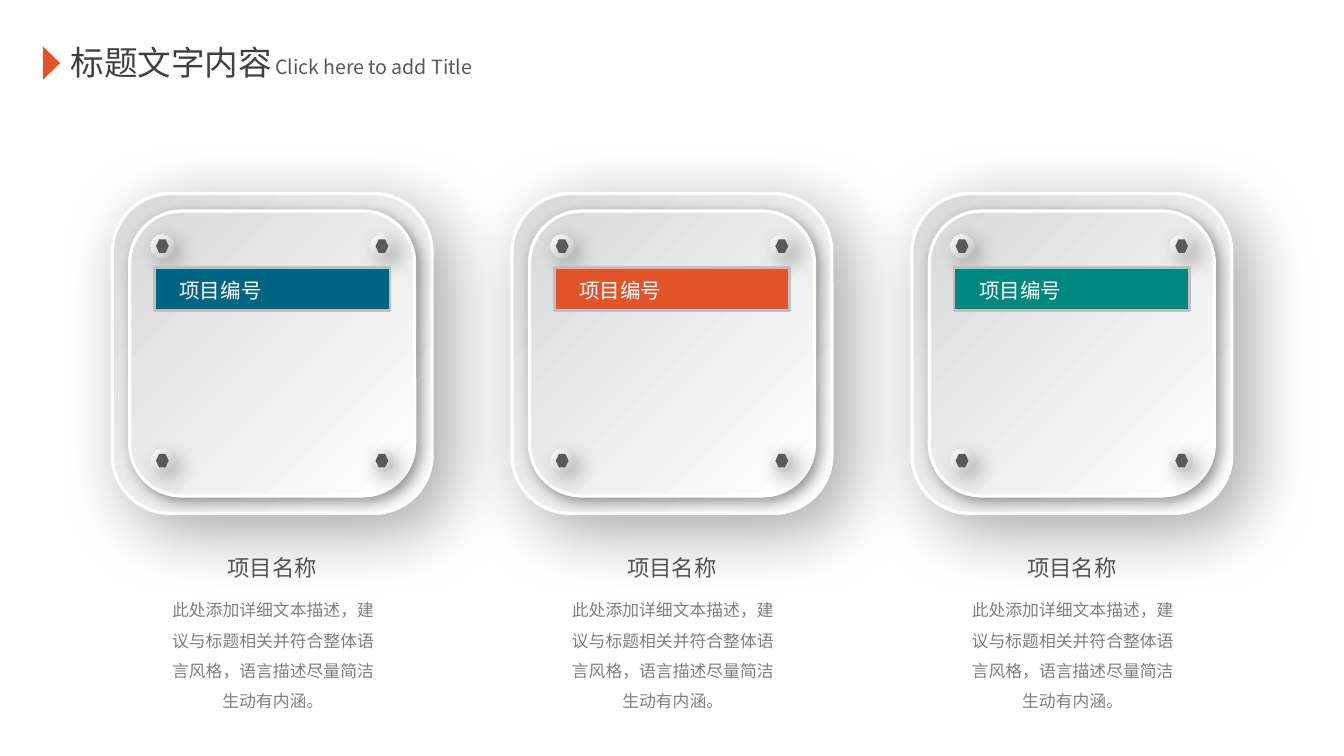
from dataclasses import dataclass
from itertools import product
from typing import NamedTuple, Optional

from lxml import etree
from pptx import Presentation
from pptx import util as u
from pptx.dml.color import RGBColor
from pptx.enum import shapes, text
from pptx.oxml.ns import qn

SLIDE_WIDTH = u.Inches(10)
SLIDE_HEIGHT = SLIDE_WIDTH * 9 // 16
CELL = SLIDE_WIDTH / 100  # square grid: 100 columns, 56.25 rows
COLUMN_PITCH = 29.75
PLATE_ROW = 26.3
PLATE_CORNER = 0.183
SCREW_X, SCREW_Y = 8.17, 7.98


@dataclass(frozen=True)
class Theme:
    """Colours, font and type sizes of the slide."""
    font: str = "Noto Sans CJK SC"
    title: str = "404040"
    heading: str = "595959"
    body: str = "808080"
    accent: str = "E2532A"
    blue: str = "006583"
    green: str = "00877F"
    white: str = "FFFFFF"
    light: str = "D9D9D9"
    edge: str = "BFBFBF"
    title_size: float = 18
    name_size: float = 12
    label_size: float = 11
    subtitle_size: float = 10.5
    body_size: float = 9


class Box(NamedTuple):
    """Centre and size in grid cells."""
    x: float
    y: float
    width: float
    height: float

    def emu(self) -> tuple:
        """Return left, top, width and height in EMU."""
        cells = (self.x - self.width / 2, self.y - self.height / 2, self.width, self.height)
        return tuple(round(value * CELL) for value in cells)


class Shadow(NamedTuple):
    """Soft black shadow cast to the lower right."""
    opacity: int
    blur: float
    distance: float


class Style(NamedTuple):
    """Fill of one or two colours, with optional outline and shadow."""
    fill: tuple
    line: Optional[str] = None
    line_width: float = 0
    shadow: Optional[Shadow] = None


class TextStyle(NamedTuple):
    """Type size, colour and paragraph layout."""
    size: float
    color: str
    align: text.PP_ALIGN = text.PP_ALIGN.LEFT
    spacing: float = 1.0
    wrap: bool = True
    inset: tuple = (0.7, 0.4)


class Card(NamedTuple):
    """Content of one column."""
    label: str
    color: str
    name: str
    description: str


THEME = Theme()
DESCRIPTION = "此处添加详细文本描述，建议与标题相关并符合整体语言风格，语言描述尽量简洁生动有内涵。"
CARDS = [Card("项目编号", color, "项目名称", DESCRIPTION)
         for color in (THEME.blue, THEME.accent, THEME.green)]

PLATE_FILL = (THEME.light, THEME.white)
OUTER_PLATE = Style(PLATE_FILL, THEME.white, 1.75, Shadow(35, 37, 12))
INNER_PLATE = Style(PLATE_FILL, THEME.white, 1.75, Shadow(40, 8, 3))
SCREW = Style((THEME.white, THEME.edge), shadow=Shadow(29, 11, 5))
SCREW_HOLE = Style((THEME.heading,))

TITLE_INSET = (1, 0.5)
TITLE = TextStyle(THEME.title_size, THEME.title, wrap=False, inset=TITLE_INSET)
SUBTITLE = TextStyle(THEME.subtitle_size, THEME.heading, wrap=False, inset=TITLE_INSET)
NAME = TextStyle(THEME.name_size, THEME.heading, text.PP_ALIGN.CENTER)
BODY = TextStyle(THEME.body_size, THEME.body, text.PP_ALIGN.CENTER, 1.5)
LABEL = TextStyle(THEME.label_size, THEME.white, text.PP_ALIGN.JUSTIFY)


def add_shadow(shape, shadow: Shadow) -> None:
    """Give a shape a blurred outer shadow."""
    effects = shape._element.spPr.find(qn("a:effectLst"))
    outer = etree.SubElement(effects, qn("a:outerShdw"), blurRad=str(u.Pt(shadow.blur)),
                             dist=str(u.Pt(shadow.distance)), dir="2700000",
                             algn="tl", rotWithShape="0")
    color = etree.SubElement(outer, qn("a:srgbClr"), val="000000")
    etree.SubElement(color, qn("a:alpha"), val=str(shadow.opacity * 1000))


def draw_shape(parent, kind: shapes.MSO_SHAPE, box: Box, style: Style):
    """Draw a preset shape in the given style."""
    shape = parent.add_shape(kind, *box.emu())
    shape.shadow.inherit = False
    if len(style.fill) == 1:
        shape.fill.solid()
        shape.fill.fore_color.rgb = RGBColor.from_string(style.fill[0])
    else:
        shape.fill.gradient()
        shape.fill.gradient_angle = 315
        for stop, color in zip(shape.fill.gradient_stops, style.fill):
            stop.color.rgb = RGBColor.from_string(color)
    if style.line:
        shape.line.color.rgb = RGBColor.from_string(style.line)
        shape.line.width = u.Pt(style.line_width)
    else:
        shape.line.fill.background()
    if style.shadow:
        add_shadow(shape, style.shadow)
    return shape


def write_text(shape, words: str, style: TextStyle) -> None:
    """Fill a shape with one formatted paragraph."""
    frame = shape.text_frame
    frame.text = words
    frame.word_wrap = style.wrap
    frame.auto_size = text.MSO_AUTO_SIZE.SHAPE_TO_FIT_TEXT
    frame.vertical_anchor = text.MSO_ANCHOR.TOP
    side, end = (round(value * CELL) for value in style.inset)
    frame.margin_left = frame.margin_right = side
    frame.margin_top = frame.margin_bottom = end
    paragraph = frame.paragraphs[0]
    paragraph.alignment = style.align
    paragraph.line_spacing = style.spacing
    font = paragraph.font
    font.size = u.Pt(style.size)
    font.color.rgb = RGBColor.from_string(style.color)
    font.name = THEME.font
    etree.SubElement(font._element, qn("a:ea"), typeface=THEME.font)


def draw_text(parent, box: Box, words: str, style: TextStyle) -> None:
    """Add a text box."""
    write_text(parent.add_textbox(*box.emu()), words, style)


def draw_header(slide) -> None:
    """Place the title, its marker and the subtitle."""
    title = slide.shapes.title
    title.left, title.top, title.width, title.height = Box(13.2, 4.65, 17.9, 4).emu()
    write_text(title, "标题文字内容", TITLE)
    marker = draw_shape(slide.shapes, shapes.MSO_SHAPE.ISOSCELES_TRIANGLE,
                        Box(3.83, 4.7, 2.5, 1.3), Style((THEME.accent,)))
    marker.rotation = 90
    draw_text(slide.shapes, Box(28.1, 5, 17.2, 2.8), "Click here to add Title", SUBTITLE)


def draw_card(slide, center: float, card: Card) -> None:
    """Draw a screwed plate with its label and caption."""
    parent = slide.shapes.add_group_shape().shapes
    draw_text(parent, Box(center, 42.25, 12.8, 2.8), card.name, NAME)
    draw_text(parent, Box(center + 0.05, 48.38, 17.5, 9.8), card.description, BODY)
    for size, style in ((23.8, OUTER_PLATE), (21.2, INNER_PLATE)):
        plate = draw_shape(parent, shapes.MSO_SHAPE.ROUNDED_RECTANGLE,
                           Box(center, PLATE_ROW, size, size), style)
        plate.adjustments[0] = PLATE_CORNER
    for down, across in product((-1, 1), repeat=2):
        x, y = center + across * SCREW_X, PLATE_ROW + down * SCREW_Y
        draw_shape(parent, shapes.MSO_SHAPE.OVAL, Box(x, y, 1.7, 1.7), SCREW)
        draw_shape(parent, shapes.MSO_SHAPE.HEXAGON, Box(x, y, 0.95, 1), SCREW_HOLE)
    draw_shape(parent, shapes.MSO_SHAPE.RECTANGLE, Box(center, 21.5, 17.5, 3.2),
               Style((card.color,), THEME.edge, 1.25))
    draw_text(parent, Box(center + 0.1, 21.55, 15.4, 2.6), card.label, LABEL)


def main() -> None:
    """Build and save the slide."""
    presentation = Presentation()
    presentation.slide_width, presentation.slide_height = SLIDE_WIDTH, SLIDE_HEIGHT
    slide = presentation.slides.add_slide(presentation.slide_layouts[5])
    draw_header(slide)
    for index, card in enumerate(CARDS):
        draw_card(slide, 50 + (index - 1) * COLUMN_PITCH, card)
    presentation.save("out.pptx")


main()
